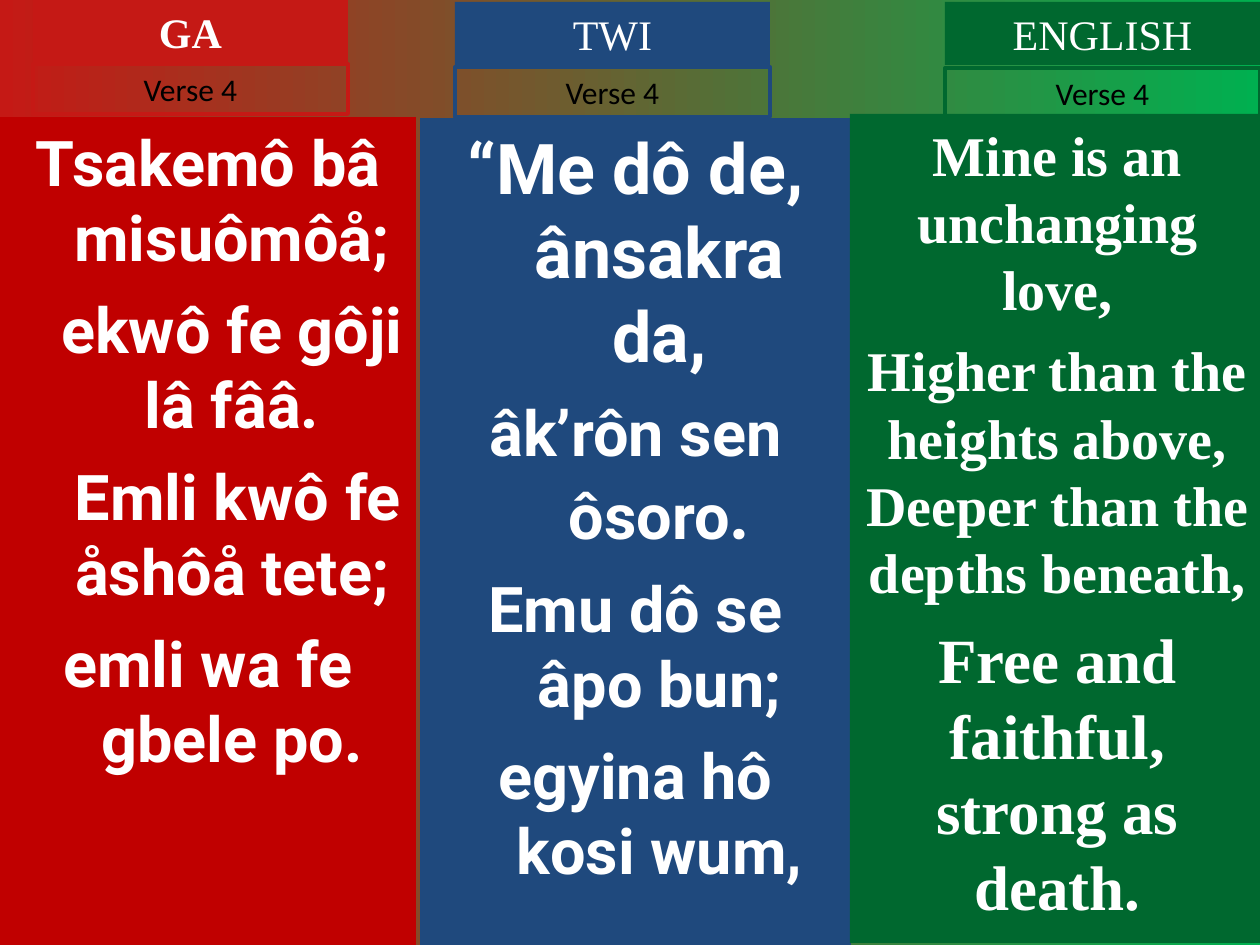
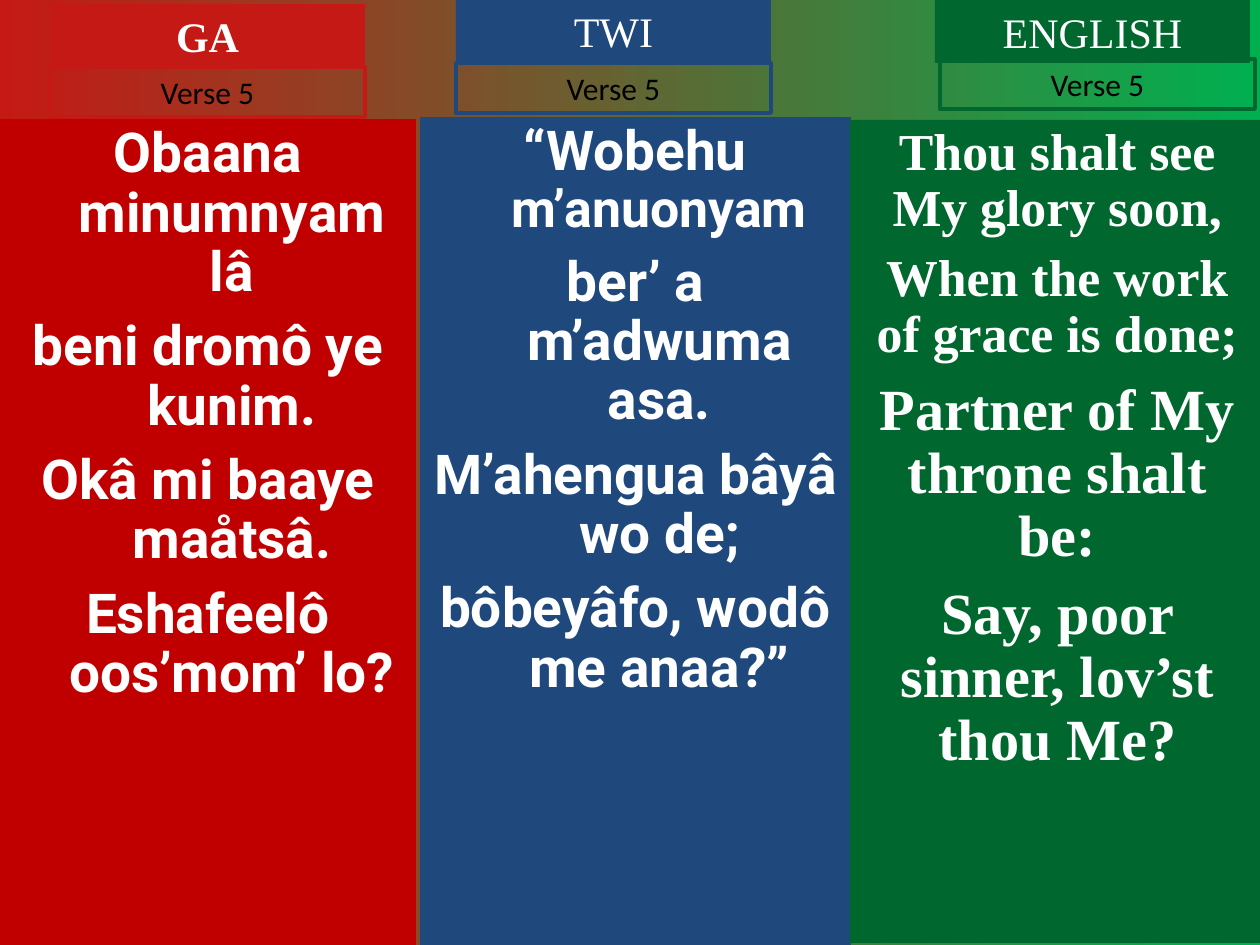
from pptx import Presentation
from pptx.dml.color import RGBColor
from pptx.enum.shapes import MSO_SHAPE
from pptx.enum.text import MSO_ANCHOR, MSO_AUTO_SIZE, PP_ALIGN
from pptx.oxml.ns import qn
from pptx.util import Emu, Inches, Pt
from lxml import etree

SCALE = Inches(10) / 1260
HANG = 48
COLORS = {
    "red": "C00000", "bright_red": "C51915", "blue": "1F497D",
    "green": "00682F", "bright_green": "00B050",
    "white": "FFFFFF", "black": "000000",
}
COLUMNS = [
    {"title": "GA", "color": "red", "tag": "bright_red", "font": "Roboto", "hang": HANG},
    {"title": "TWI", "color": "blue", "tag": "blue", "font": "Roboto", "hang": HANG},
    {"title": "ENGLISH", "color": "green", "tag": "green", "font": "Times New Roman", "hang": 0},
]
FIRST_LINE = {"ekwô fe gôji lâ fââ.": 0, "Emli kwô fe åshôå tete;": 12}
VERSES = [
    {
        "label": "Verse 4", "spacing": 1.0, "gap": 0.25,
        "columns": [(0, 117, 416, 828), (420, 118, 431, 827), (850, 114, 415, 829)],
        "tags": [(33, 0), (455, 2), (945, 2)],
        "labels": [(33, 64), (455, 67), (945, 68)],
        "lyrics": [
            [
                [("Tsakemô bâ misuômôå;", 36)],
                [("ekwô fe gôji lâ fââ.", 36)],
                [("Emli kwô fe åshôå tete;", 36)],
                [("emli wa fe gbele po.", 36)],
            ],
            [
                [("“Me dô de, ânsakra da,", 40)],
                [("âk’rôn sen ôsoro", 36), (".", 40)],
                [("Emu dô se âpo bun;", 36)],
                [("egyina hô kosi wum,", 36)],
            ],
            [
                [("Mine is an unchanging love,", 32)],
                [("Higher than the heights above, Deeper than the depths beneath,", 32)],
                [("Free and faithful, strong as death.", 36)],
            ],
        ],
    },
    {
        "label": "Verse 5", "spacing": 0.9, "gap": 0.27,
        "columns": [(0, 119, 416, 826), (420, 117, 431, 828), (850, 120, 415, 823)],
        "tags": [(50, 4), (456, -1), (935, 0)],
        "labels": [(50, 67), (456, 63), (940, 59)],
        "lyrics": [
            [
                [("Obaana minumnyam lâ", 31.4)],
                [("beni dromô ye kunim.", 31.4)],
                [("Okâ mi baaye maåtsâ.", 31.4)],
                [("Eshafeelô oos’mom’ lo?", 31.4)],
            ],
            [
                [("“Wobehu ", 31.4), ("m’anuonyam", 29.6)],
                [("ber’ a m’adwuma asa.", 31.4)],
                [("M’ahengua bâyâ wo de;", 31.4)],
                [("bôbeyâfo, wodô me anaa?”", 31.4)],
            ],
            [
                [("Thou shalt see My glory soon,", 29.6)],
                [("When the work of grace is done;", 29.6)],
                [("Partner of My throne shalt be:", 33.3)],
                [("Say, poor sinner, lov’st thou Me?", 33.3)],
            ],
        ],
    },
]


def px(n):
    return Emu(round(n * SCALE))


def place(slide, sp, box, fill=None, line=None):
    if sp is None:
        sp = slide.shapes.add_shape(MSO_SHAPE.RECTANGLE, 0, 0, 0, 0)
        sp.shadow.inherit = False
    sp.left, sp.top, sp.width, sp.height = map(px, box)
    if fill:
        sp.fill.solid()
        sp.fill.fore_color.rgb = RGBColor.from_string(COLORS[fill])
    else:
        sp.fill.background()
    if line:
        sp.line.color.rgb = RGBColor.from_string(COLORS[line])
        sp.line.width = Pt(2.25)
    else:
        sp.line.fill.background()
    tf = sp.text_frame
    tf.word_wrap = True
    tf.auto_size = MSO_AUTO_SIZE.NONE
    tf.vertical_anchor = MSO_ANCHOR.TOP
    tf.margin_left = tf.margin_right = Inches(0.1)
    tf.margin_top = tf.margin_bottom = Inches(0.05)
    return tf


prs = Presentation()
prs.slide_width, prs.slide_height = px(1260), px(945)

for verse in VERSES:
    slide = prs.slides.add_slide(prs.slide_layouts[3])
    bg = slide.background.fill
    bg.gradient()
    bg.gradient_angle = 0
    for stop, position, name in zip(bg.gradient_stops, (0, 1), ("bright_red", "bright_green")):
        stop.position = position
        stop.color.rgb = RGBColor.from_string(COLORS[name])

    bodies = [slide.placeholders[1], slide.placeholders[2], None]
    for col, body, box, lyrics in zip(COLUMNS, bodies, verse["columns"], verse["lyrics"]):
        tf = place(slide, body, box, fill=col["color"])
        for i, line in enumerate(lyrics):
            p = tf.paragraphs[0] if i == 0 else tf.add_paragraph()
            pPr = p._p.get_or_add_pPr()
            pPr.set("marL", str(px(col["hang"])))
            pPr.set("indent", str(px(FIRST_LINE.get(line[0][0], -col["hang"]))))
            etree.SubElement(pPr, qn("a:buNone"))
            p.alignment = PP_ALIGN.CENTER
            p.line_spacing = verse["spacing"]
            largest = max(size for text, size in line)
            p.space_before = Pt(round(largest * verse["gap"] * 2) / 2 if i else 0)
            for text, size in line:
                r = p.add_run()
                r.text = text
                r.font.name = col["font"]
                r.font.size = Pt(size)
                r.font.bold = True
                r.font.color.rgb = RGBColor.from_string(COLORS["white"])

    titles = [slide.shapes.title, None, None]
    for col, title, tag_at, label_at in zip(COLUMNS, titles, verse["tags"], verse["labels"]):
        tag = place(slide, title, (*tag_at, 315, 63), fill=col["tag"])
        label = place(slide, None, (*label_at, 315, 50), line=col["tag"])
        for tf, text, font, size, color in (
            (tag, col["title"], "Times New Roman", 24, "white"),
            (label, verse["label"], "Calibri", 18, "black"),
        ):
            tf.text = text
            p = tf.paragraphs[0]
            p.alignment = PP_ALIGN.CENTER
            r = p.runs[0]
            r.font.name = font
            r.font.size = Pt(size)
            r.font.bold = text == "GA"
            r.font.color.rgb = RGBColor.from_string(COLORS[color])

prs.save("out.pptx")
